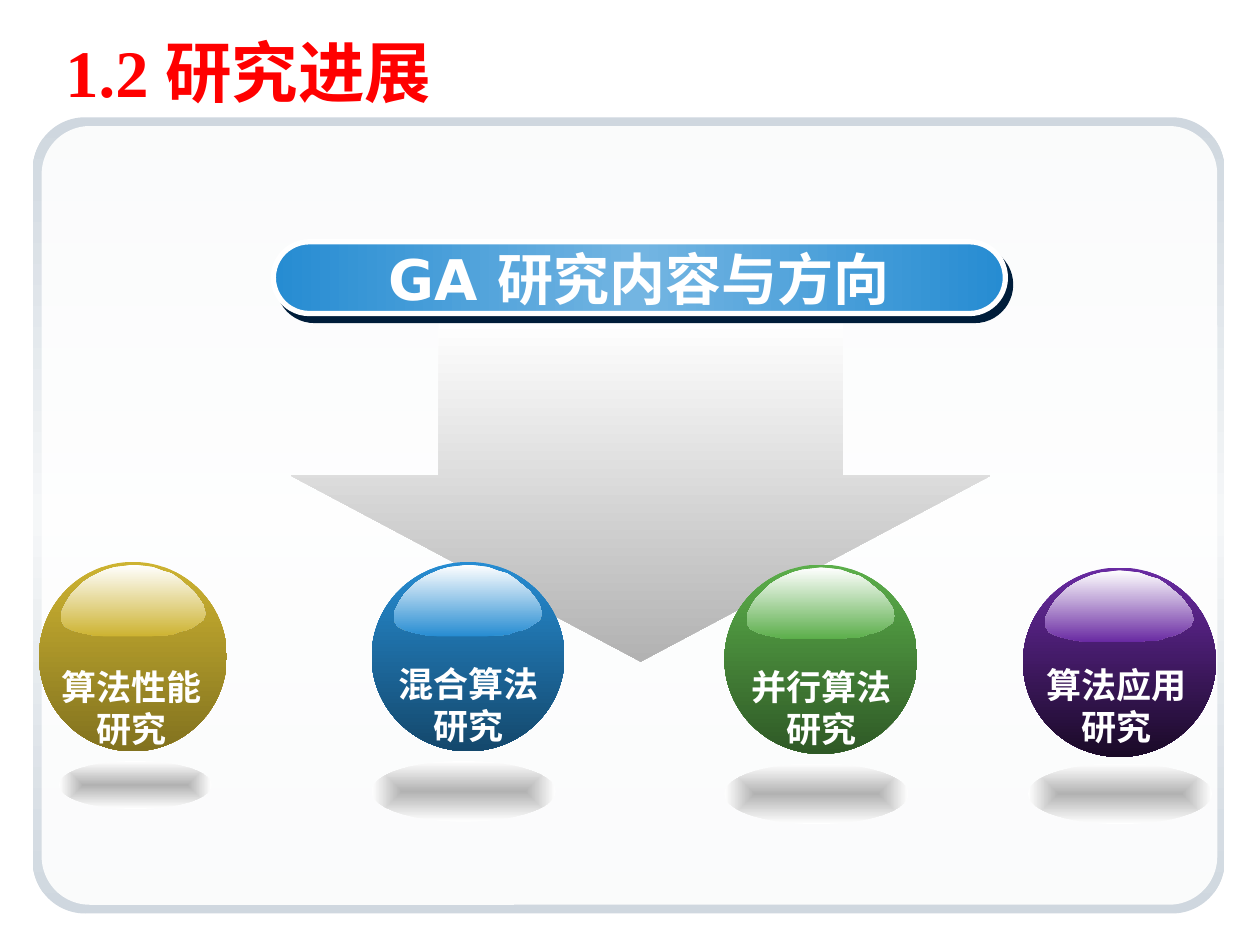
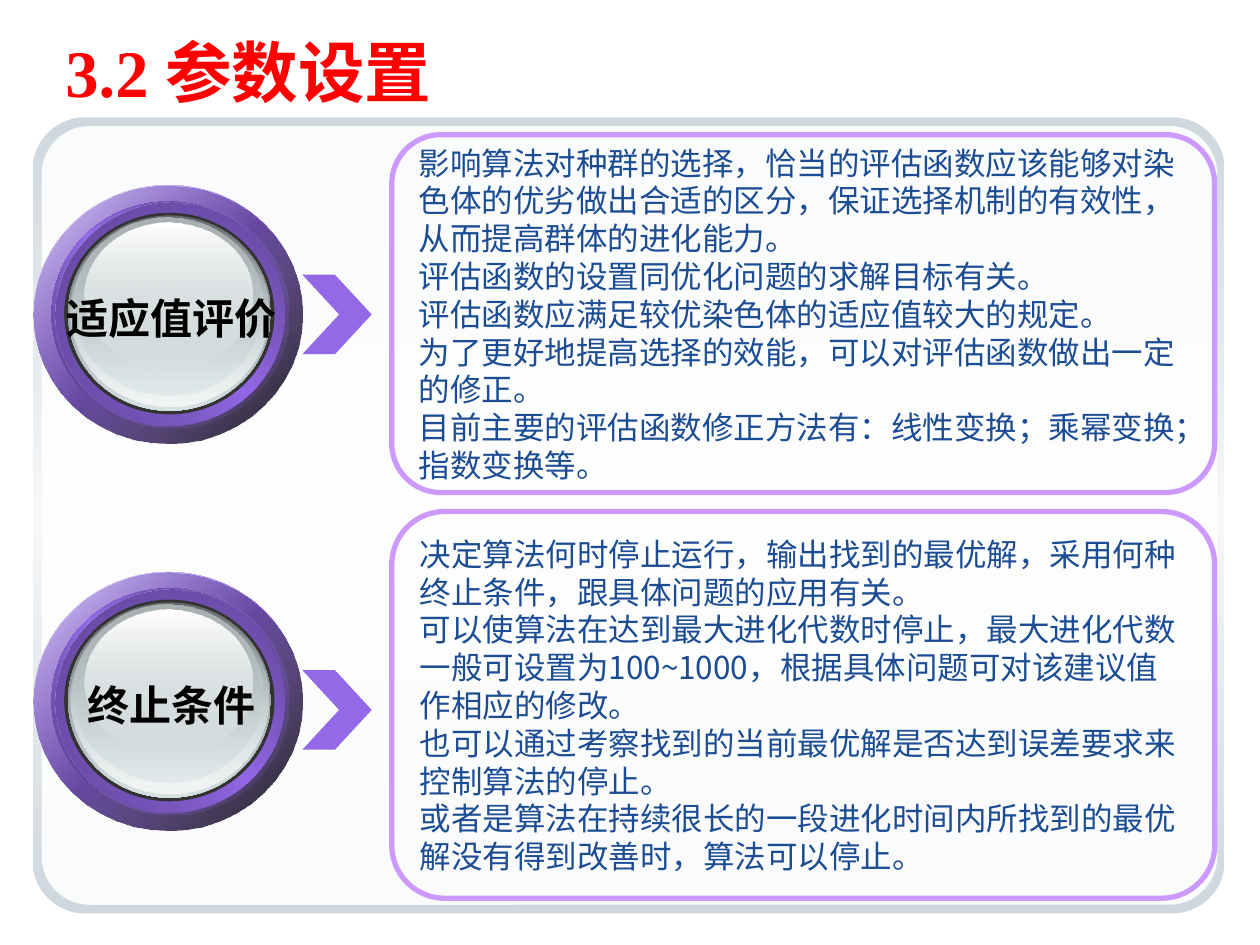
from lxml import etree
from pptx import Presentation
from pptx.dml.color import RGBColor
from pptx.enum.shapes import MSO_SHAPE
from pptx.enum.text import MSO_ANCHOR, MSO_AUTO_SIZE, PP_ALIGN
from pptx.oxml.ns import qn
from pptx.util import Pt

COLORS = {
    "title": "FF0000", "white": "FFFFFF", "black": "000000", "body": "1C4D94",
    "frame": "CFD7DF", "frame_mid": "F5F7F8", "grey": "B2B2B2",
    "banner": "268CD2", "banner_mid": "73B5E2", "banner_shadow": "001D3A",
    "gold": "CDB331", "gold_dark": "82721F", "blue": "268CD2", "blue_dark": "14486C",
    "green": "5BAE4A", "green_dark": "2F5926", "purple": "692AA2", "purple_dark": "1A0A27",
    "violet": "9369E7", "violet_dark": "50397D", "violet_mid": "5D4393", "lilac": "CC99FF",
    "rim": "333333", "steel": "636869", "silver": "AAB2B3", "glass": "D6E1E2",
    "glass_light": "F1F5F5",
}
CJK = "Noto Sans CJK SC"


def paint(shape, stops, angle=0):
    """Fill without outline; stops are (position, colour, opacity), angle None runs from the centre."""
    shape.shadow.inherit = False
    shape.line.fill.background()
    if len(stops) == 1:
        shape.fill.solid()
        shape.fill.fore_color.rgb = RGBColor.from_string(COLORS[stops[0][1]])
        color = shape.element.spPr.find(qn("a:solidFill"))[0]
        etree.SubElement(color, qn("a:alpha"), val=str(stops[0][2] * 1000))
        return
    shape.fill.gradient()
    gradient = shape.element.spPr.find(qn("a:gradFill"))
    for child in list(gradient):
        gradient.remove(child)
    stop_list = etree.SubElement(gradient, qn("a:gsLst"))
    for position, color, opacity in stops:
        stop = etree.SubElement(stop_list, qn("a:gs"), pos=str(position * 1000))
        rgb = etree.SubElement(stop, qn("a:srgbClr"), val=COLORS[color])
        etree.SubElement(rgb, qn("a:alpha"), val=str(opacity * 1000))
    if angle is None:
        center = etree.SubElement(gradient, qn("a:path"), path="rect")
        etree.SubElement(center, qn("a:fillToRect"), l="50000", t="50000", r="50000", b="50000")
    else:
        etree.SubElement(gradient, qn("a:lin"), ang=str(angle * 60000), scaled="0")


def write(frame, paragraphs, font, size, color, bold=True, align=PP_ALIGN.CENTER, wrap=True):
    frame.text = "\n".join(paragraphs)
    frame.word_wrap = wrap
    frame.auto_size = MSO_AUTO_SIZE.NONE
    frame.vertical_anchor = MSO_ANCHOR.MIDDLE
    for paragraph in frame.paragraphs:
        paragraph.alignment = align
        paragraph.line_spacing = Pt(size * 1.2)
        for run in paragraph.runs:
            run.font.name = font
            run.font.size = Pt(size)
            run.font.bold = bold
            run.font.color.rgb = RGBColor.from_string(COLORS[color])
            latin = run.font._element.find(qn("a:latin"))
            latin.addnext(latin.makeelement(qn("a:ea"), {"typeface": CJK}))


prs = Presentation()
prs.slide_width, prs.slide_height = Pt(720), Pt(540)

# Shared layout: title position and framed panel
layout = prs.slide_layouts[5]
for placeholder in list(layout.placeholders):
    if placeholder.placeholder_format.idx:
        layout.shapes.element.remove(placeholder.element)
heading = layout.placeholders[0]
heading.left, heading.top, heading.width, heading.height = map(Pt, (30.2, 18, 671.8, 44.6))

progress = prs.slides.add_slide(layout)
settings = prs.slides.add_slide(layout)
for slide, title in ((progress, "1.2 研究进展"), (settings, "3.2 参数设置")):
    write(slide.shapes.title.text_frame, [title], "Times New Roman", 38, "title",
          align=PP_ALIGN.LEFT)

panels = [
    ((18.7, 67, 681.1, 455), 0.066,
     [(0, "frame", 100), (50, "frame_mid", 100), (100, "frame", 100)]),
    ((23.8, 72, 671.8, 445), 0.062, [(0, "white", 90)]),
]
for depth, (box, rounding, stops) in enumerate(panels):
    panel = progress.shapes.add_shape(MSO_SHAPE.ROUNDED_RECTANGLE, *map(Pt, box))
    panel.adjustments[0] = rounding
    paint(panel, stops, 90)
    layout.shapes.element.insert(2 + depth, panel.element)

# 1.2 Research progress: arrow, banner and four spheres
shapes = progress.shapes
arrow = shapes.add_shape(MSO_SHAPE.DOWN_ARROW, Pt(166.3), Pt(182.9), Pt(399.6), Pt(195.1))
arrow.adjustments[0], arrow.adjustments[1] = 0.578, 0.544
paint(arrow, [(0, "white", 100), (100, "grey", 100)], 90)

banner = shapes.add_shape(MSO_SHAPE.ROUNDED_RECTANGLE, Pt(156.2), Pt(138.2), Pt(418.3), Pt(41))
banner.adjustments[0] = 0.5
paint(banner, [(0, "banner", 100), (50, "banner_mid", 100), (100, "banner", 100)])
banner.line.color.rgb = RGBColor.from_string(COLORS["white"])
banner.line.width = Pt(3)
effects = banner.element.spPr.find(qn("a:effectLst"))
shadow = etree.SubElement(effects, qn("a:outerShdw"), blurRad="0", dist=str(Pt(5)),
                          dir=str(53 * 60000), algn="ctr", rotWithShape="0")
etree.SubElement(shadow, qn("a:srgbClr"), val=COLORS["banner_shadow"])
write(banner.text_frame, ["GA 研究内容与方向"], "DejaVu Sans", 32, "white", wrap=False)

GLOSS_WIDTH = 118
GLOSS = [
    (116, 32), (117, 36), (118, 39), (117, 41), (116, 44), (113, 46), (110, 48), (107, 50),
    (102, 52), (97, 53), (92, 55), (86, 56), (80, 56), (73, 57), (36, 57), (26, 56),
    (16, 54), (9, 52), (3, 49), (0, 44), (0, 39), (1, 36), (4, 30), (8, 24), (13, 19),
    (18, 14), (24, 10), (30, 7), (37, 4), (44, 2), (52, 1), (59, 0), (68, 1), (75, 2),
    (83, 5), (90, 7), (96, 11), (102, 16), (108, 21), (112, 26),
]
# colour, label, sphere (left, top, width), label (left, top, width), floor shadow box
spheres = [
    ("gold", ["算法性能", "研究"], (22.3, 321.1, 107.3), (28.1, 376.4, 94.3), (33.8, 434.9, 87.1, 27.4)),
    ("blue", ["混合算法研究"], (212.4, 321.1, 110.2), (218.2, 375, 99.4), (212.4, 434.9, 105.1, 34.6)),
    ("green", ["并行算法研究"], (414, 322.6, 110.2), (419.8, 376.4, 99.4), (414, 436.3, 105.1, 34.6)),
    ("purple", ["算法应用", "研究"], (584.6, 324.3, 110.2), (591.1, 375.7, 94.3), (587.5, 436.3, 105.1, 34.6)),
]
for color, label, (left, top, width), (label_left, label_top, label_width), floor_box in spheres:
    ball = shapes.add_shape(MSO_SHAPE.OVAL, Pt(left), Pt(top), Pt(width), Pt(108.2))
    paint(ball, [(0, color, 100), (100, color + "_dark", 100)], 90)

    stretch = width * 0.77 / GLOSS_WIDTH
    outline = [(Pt(left + 12.6 + x * stretch), Pt(top + 1.6 + y * 0.72)) for x, y in GLOSS]
    builder = shapes.build_freeform(*outline[0])
    builder.add_line_segments(outline[1:], close=True)
    paint(builder.convert_to_shape(), [(0, "white", 100), (100, color, 100)], 90)

    caption = shapes.add_textbox(Pt(label_left), Pt(label_top), Pt(label_width), Pt(55.4))
    write(caption.text_frame, label, "Arial", 20, "white", wrap=len(label) == 1)

    floor = shapes.add_shape(MSO_SHAPE.OVAL, *map(Pt, floor_box))
    paint(floor, [(0, "grey", 100), (100, "white", 100)], None)

# 3.2 Parameter settings: ring, chevron and explanation per topic
shapes = settings.shapes
# left, offset below the ring's top, width, height, stops, angle
ring_layers = [
    (19.4, 0, 153.4, 147.6, [(0, "white", 100), (50, "violet", 100), (100, "white", 100)], 45),
    (19.4, 0, 153.4, 147.6, [(0, "violet", 32), (100, "black", 90)], 45),
    (29.5, 9.4, 133.2, 128.2,
     [(0, "violet_dark", 100), (50, "violet", 100), (100, "violet_dark", 100)], 315),
    (31.7, 10.1, 133.2, 128.2, [(0, "violet_mid", 100), (100, "violet", 0)], 45),
    (36.7, 15.8, 120.2, 115.2, [(0, "rim", 100)], 0),
    (38.9, 17.3, 115.9, 111.6, [(0, "steel", 100), (100, "glass", 100)], 90),
    (40.3, 18, 113, 108.7, [(0, "glass", 0), (100, "glass_light", 100)], 90),
    (41.8, 18.7, 108, 101.5, [(0, "silver", 100), (100, "glass", 48)], 90),
    (48.2, 21.6, 95.8, 82.8, [(0, "white", 100), (100, "glass", 38)], 90),
]
# name, ring top, chevron top, explanation top and height, explanation
topics = [
    ("终止条件", 326.9, 383, 292.3, 221, [
        "决定算法何时停止运行，输出找到的最优解，采用何种终止条件，跟具体问题的应用有关。",
        "可以使算法在达到最大进化代数时停止，最大进化代数一般可设置为100~1000，根据具体问题可对该建议值作相应的修改。",
        "也可以通过考察找到的当前最优解是否达到误差要求来控制算法的停止。",
        "或者是算法在持续很长的一段进化时间内所找到的最优解没有得到改善时，算法可以停止。",
    ]),
    ("适应值评价", 105.8, 157, 77, 204.5, [
        "影响算法对种群的选择，恰当的评估函数应该能够对染色体的优劣做出合适的区分，保证选择机制的有效性，从而提高群体的进化能力。",
        "评估函数的设置同优化问题的求解目标有关。",
        "评估函数应满足较优染色体的适应值较大的规定。",
        "为了更好地提高选择的效能，可以对评估函数做出一定的修正。",
        "目前主要的评估函数修正方法有：线性变换；乘幂变换；指数变换等。",
    ]),
]
for name, ring_top, chevron_top, text_top, text_height, explanation in topics:
    chevron = shapes.add_shape(MSO_SHAPE.CHEVRON, Pt(172.8), Pt(chevron_top), Pt(39.6), Pt(45.4))
    chevron.adjustments[0] = 0.53
    paint(chevron, [(0, "violet", 100)])

    for left, offset, width, height, stops, angle in ring_layers:
        layer = shapes.add_shape(MSO_SHAPE.OVAL, Pt(left), Pt(ring_top + offset),
                                 Pt(width), Pt(height))
        paint(layer, stops, angle)
    topic = shapes.add_textbox(Pt(31), Pt(ring_top + 57.6), Pt(134), Pt(36))
    write(topic.text_frame, [name], CJK, 24, "black", wrap=False)

    details = shapes.add_shape(MSO_SHAPE.ROUNDED_RECTANGLE, Pt(223.9), Pt(text_top),
                               Pt(470.2), Pt(text_height))
    details.adjustments[0] = 0.137
    details.shadow.inherit = False
    details.fill.background()
    details.line.color.rgb = RGBColor.from_string(COLORS["lilac"])
    details.line.width = Pt(3)
    write(details.text_frame, explanation, CJK, 18, "body", bold=False, align=PP_ALIGN.LEFT)

prs.save("out.pptx")
